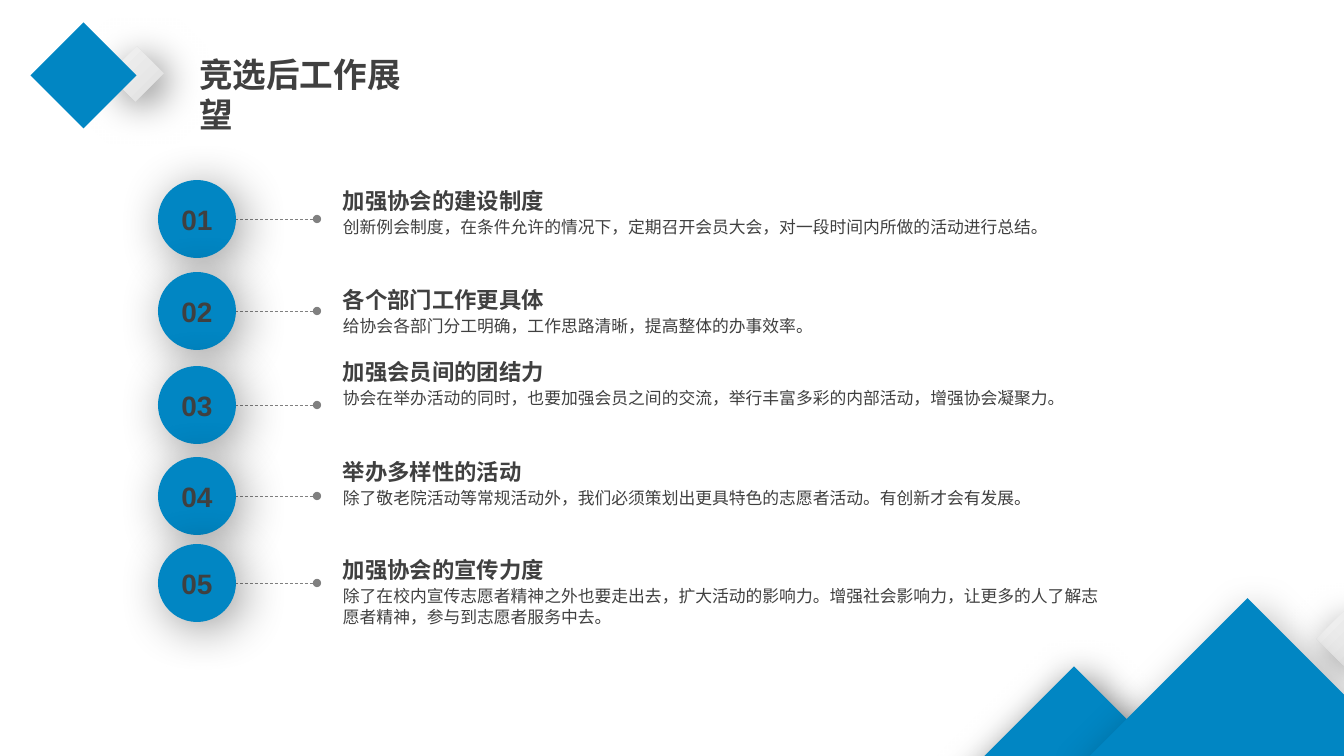
from lxml import etree
from pptx import Presentation
from pptx.dml.color import RGBColor
from pptx.enum.dml import MSO_LINE
from pptx.enum.shapes import MSO_CONNECTOR, MSO_SHAPE
from pptx.enum.text import MSO_ANCHOR, MSO_AUTO_SIZE, PP_ALIGN
from pptx.oxml.ns import qn
from pptx.util import Emu, Pt

PX = 914400 / 100.8
RECTANGLE, OVAL = MSO_SHAPE.RECTANGLE, MSO_SHAPE.OVAL
STRAIGHT, DASH = MSO_CONNECTOR.STRAIGHT, MSO_LINE.DASH
TOP, MIDDLE = MSO_ANCHOR.TOP, MSO_ANCHOR.MIDDLE
LEFT, CENTER = PP_ALIGN.LEFT, PP_ALIGN.CENTER
NO_AUTOFIT = MSO_AUTO_SIZE.NONE
COLORS = {
    "blue": "0186C3", "text": "404040", "line": "808080",
    "grey_dark": "E0E0E0", "grey_light": "F2F2F2", "shadow": "000000",
}


def px(*lengths):
    return [Emu(round(length * PX)) for length in lengths]


def add_solid(kind, box, fill, opacity, blur):
    solid = slide.shapes.add_shape(kind, *px(*box))
    solid.shadow.inherit = False
    solid.line.fill.background()
    if fill == "grey":
        solid.fill.gradient()
        solid.fill.gradient_angle = 180
        for stop, shade in zip(solid.fill.gradient_stops, ("grey_dark", "grey_light")):
            stop.color.rgb = RGBColor.from_string(COLORS[shade])
    else:
        solid.fill.solid()
        solid.fill.fore_color.rgb = RGBColor.from_string(COLORS[fill])
    if opacity:
        effects = solid._element.spPr.find(qn("a:effectLst"))
        shadow = etree.SubElement(
            effects, qn("a:outerShdw"), blurRad=str(Pt(blur)), dist=str(Pt(7)),
            dir="2700000", algn="tl", rotWithShape="0")
        color = etree.SubElement(shadow, qn("a:srgbClr"), val=COLORS["shadow"])
        etree.SubElement(color, qn("a:alpha"), val=str(opacity * 1000))
    return solid


prs = Presentation()
prs.slide_width, prs.slide_height = px(1344, 756)
slide = prs.slides.add_slide(prs.slide_layouts[5])

diamonds = [
    ((993, 700, 162, 162), "blue", 59),
    ((1325, 618, 38, 40), "grey", 51),
    ((1125, 649, 245, 245), "blue", 28),
    ((117, 54, 38, 40), "grey", 51),
    ((46, 38, 75, 75), "blue", 0),
]
for box, fill, opacity in diamonds:
    add_solid(RECTANGLE, box, fill, opacity, 28).rotation = 45

title = slide.shapes.title
title.left, title.top, title.width, title.height = px(189, 49, 254, 50)
title.text_frame.text = "竞选后工作展望"
title.text_frame.word_wrap = True
title.text_frame.auto_size = NO_AUTOFIT
title.text_frame.vertical_anchor = TOP
heading = title.text_frame.paragraphs[0]
heading.alignment = LEFT
styled = [(heading, 24, True)]

plans = [
    (180, 182, 61, "加强协会的建设制度",
     "创新例会制度，在条件允许的情况下，定期召开会员大会，对一段时间内所做的活动进行总结。"),
    (272, 281, 61, "各个部门工作更具体",
     "给协会各部门分工明确，工作思路清晰，提高整体的办事效率。"),
    (366, 353, 61, "加强会员间的团结力",
     "协会在举办活动的同时，也要加强会员之间的交流，举行丰富多彩的内部活动，增强协会凝聚力。"),
    (457, 453, 61, "举办多样性的活动",
     "除了敬老院活动等常规活动外，我们必须策划出更具特色的志愿者活动。有创新才会有发展。"),
    (544, 551, 82, "加强协会的宣传力度",
     "除了在校内宣传志愿者精神之外也要走出去，扩大活动的影响力。增强社会影响力，"
     "让更多的人了解志愿者精神，参与到志愿者服务中去。"),
]
for number, (circle_top, plan_top, plan_height, goal, detail) in enumerate(plans, 1):
    middle = circle_top + 39
    leader = slide.shapes.add_connector(STRAIGHT, *px(230, middle, 317, middle))
    leader.line.color.rgb = RGBColor.from_string(COLORS["line"])
    leader.line.width = Pt(0.5)
    leader.line.dash_style = DASH
    etree.SubElement(leader.line._get_or_add_ln(), qn("a:tailEnd"), type="oval")
    etree.SubElement(leader._element.spPr, qn("a:effectLst"))

    circle = add_solid(OVAL, (158, circle_top, 78, 78), "blue", 40, 35)
    badge = circle.text_frame
    badge.text = f"{number:02d}"
    badge.margin_left = badge.margin_right = badge.margin_top = badge.margin_bottom = 0
    badge.vertical_anchor = MIDDLE
    badge.paragraphs[0].alignment = CENTER

    plan = slide.shapes.add_textbox(*px(333, plan_top, 782, plan_height)).text_frame
    plan.word_wrap = True
    plan.text = f"{goal}\n{detail}"
    goal_line, detail_line = plan.paragraphs
    detail_line.space_before = Pt(2.4)
    styled += [(badge.paragraphs[0], 20, True), (goal_line, 16, True), (detail_line, 12, False)]

for paragraph, size, bold in styled:
    for run in paragraph.runs:
        run.font.name = "Arial"
        run.font.size = Pt(size)
        run.font.bold = bold
        run.font.color.rgb = RGBColor.from_string(COLORS["text"])

prs.save("out.pptx")
